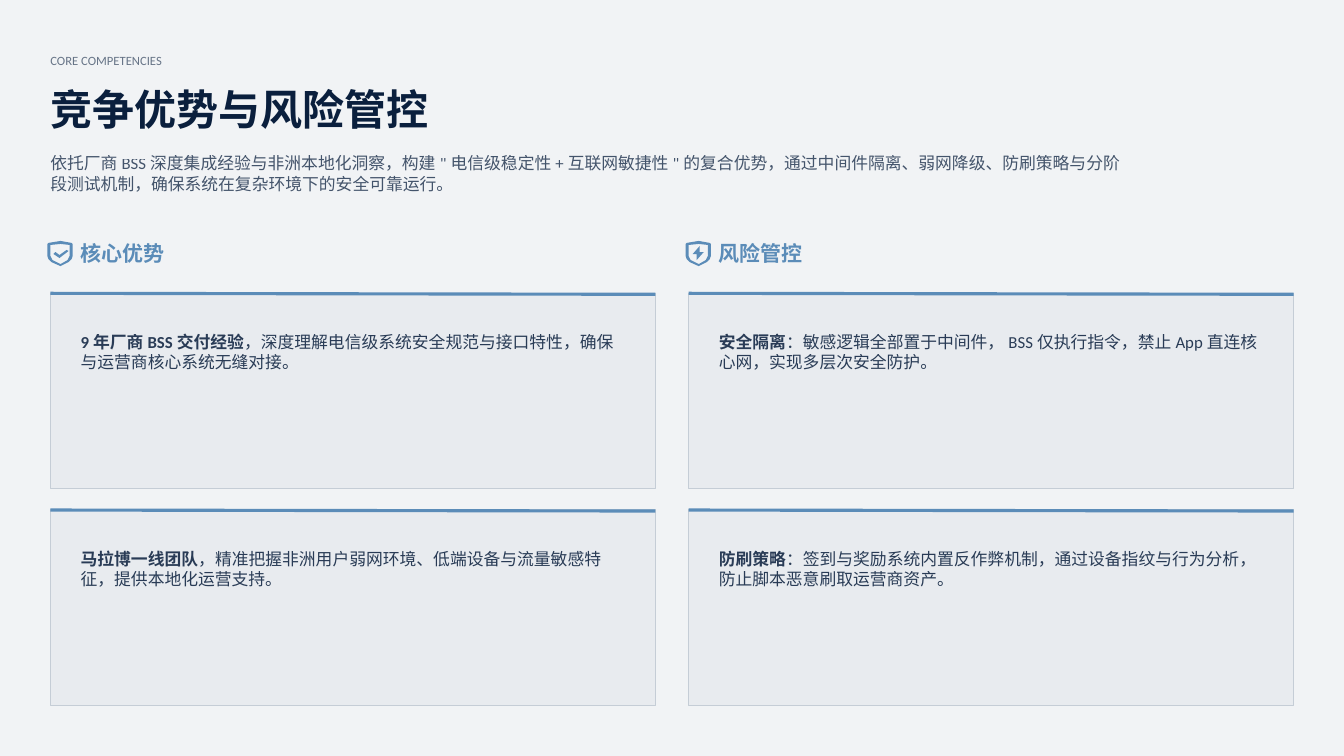
import pptx
import pptx.dml.color
import pptx.enum.shapes
import pptx.enum.text
import pptx.oxml.ns
import pptx.util
from lxml import etree

Inches, Pt = pptx.util.Inches, pptx.util.Pt
ANCHOR = pptx.enum.text.MSO_ANCHOR
COLORS = {"page": "F1F3F5", "navy": "0A1F3D", "blue": "5B8CB8",
          "card": "E8EBEF", "border": "C5CDD6"}
FONT = "Calibri"

# Icon outlines in hundredths of an inch
SHIELD = [
    [(1, 2), (13, 0), (24, 2), (25, 3), (25, 15), (24, 18), (21, 21),
     (13, 25), (4, 21), (1, 18), (0, 15), (0, 3)],
    [(22, 4), (13, 3), (3, 4), (3, 15), (4, 17), (5, 19), (13, 23),
     (20, 19), (21, 17), (22, 15)],
]
CHECK = [(12, 14), (19, 9), (21, 10), (12, 17), (6, 13), (8, 11)]
BOLT = [(14, 5), (14, 11), (18, 11), (11, 19), (11, 13), (7, 13)]

INTRO = [
    [('依托厂商BSS深度集成经验与非洲本地化洞察，构建"电信级稳定性+互联网敏捷性"'
      '的复合优势，通过中间件隔离、弱网降级、防刷策略与分阶', False)],
    [("段测试机制，确保系统在复杂环境下的安全可靠运行。", False)],
]
# Heading, icon mark, then for each card: bold lead, rest of line 1, line 2
COLUMNS = [
    ("核心优势", CHECK, [
        ("9年厂商BSS交付经验", "，深度理解电信级系统安全规范与接口特性，确保",
         "与运营商核心系统无缝对接。"),
        ("马拉博一线团队", "，精准把握非洲用户弱网环境、低端设备与流量敏感特",
         "征，提供本地化运营支持。"),
    ]),
    ("风险管控", BOLT, [
        ("安全隔离", "：敏感逻辑全部置于中间件，BSS仅执行指令，禁止App直连核",
         "心网，实现多层次安全防护。"),
        ("防刷策略", "：签到与奖励系统内置反作弊机制，通过设备指纹与行为分析，",
         "防止脚本恶意刷取运营商资产。"),
    ]),
]


def rgb(name):
    return pptx.dml.color.RGBColor.from_string(COLORS[name])


def write(sp, paragraphs, size, color="navy", alpha=100, wrap=False,
          anchor=ANCHOR.TOP):
    """Fill a shape with paragraphs, each a list of (text, bold) runs."""
    tf = sp.text_frame
    tf.margin_left = tf.margin_right = tf.margin_top = tf.margin_bottom = 0
    tf.auto_size = pptx.enum.text.MSO_AUTO_SIZE.NONE
    tf.word_wrap = wrap
    tf.vertical_anchor = anchor
    for i, runs in enumerate(paragraphs):
        p = tf.add_paragraph() if i else tf.paragraphs[0]
        p.alignment = pptx.enum.text.PP_ALIGN.LEFT
        p.font.name, p.font.size = FONT, Pt(size)
        p.font.color.rgb = rgb(color)
        if alpha < 100:
            for clr in p.font._element.iter(pptx.oxml.ns.qn("a:srgbClr")):
                etree.SubElement(clr, pptx.oxml.ns.qn("a:alpha"),
                                 val=str(alpha * 1000))
        for text, bold in runs:
            r = p.add_run()
            r.text, r.font.bold = text, bold


def add_text(slide, x, y, w, h, paragraphs, size, **style):
    sp = slide.shapes.add_textbox(Inches(x), Inches(y), Inches(w), Inches(h))
    write(sp, paragraphs, size, **style)


def add_header(slide, x, y, w):
    add_text(slide, x, y, w, 0.15, [[("CORE COMPETENCIES", False)]], 9,
             alpha=60)
    title = slide.shapes.title
    title.left, title.top = Inches(x), Inches(y + 0.31)
    title.width, title.height = Inches(w), Inches(0.46)
    write(title, [[("竞争优势与风险管控", True)]], 30)
    add_text(slide, x, y + 1, w, 0.5, INTRO, 12, alpha=75, wrap=True)


def add_icon(slide, x, y, mark):
    """Draw a hollow shield with a solid mark inside."""
    outer, *inner = SHIELD + [mark]
    builder = slide.shapes.build_freeform(*outer[0], scale=Inches(0.01))
    builder.add_line_segments(outer[1:], close=True)
    for contour in inner:
        builder.move_to(*contour[0])
        builder.add_line_segments(contour[1:], close=True)
    sp = builder.convert_to_shape(Inches(x), Inches(y))
    sp.shadow.inherit = False
    sp.fill.solid()
    sp.fill.fore_color.rgb = rgb("blue")
    sp.line.fill.background()


def add_card(slide, x, y, w, h, lead, rest, second_line):
    sp = slide.shapes.add_shape(pptx.enum.shapes.MSO_SHAPE.RECTANGLE,
                                Inches(x), Inches(y), Inches(w), Inches(h))
    sp.shadow.inherit = False
    sp.fill.solid()
    sp.fill.fore_color.rgb = rgb("card")
    sp.line.color.rgb, sp.line.width = rgb("border"), Pt(0.75)
    accent = slide.shapes.add_connector(
        pptx.enum.shapes.MSO_CONNECTOR.STRAIGHT,
        Inches(x), Inches(y), Inches(x + w), Inches(y + 0.01))
    accent.line.color.rgb, accent.line.width = rgb("blue"), Pt(2.25)
    etree.SubElement(accent._element.spPr, pptx.oxml.ns.qn("a:effectLst"))
    add_text(slide, x + 0.3, y + 0.38, w - 0.3, 0.46,
             [[(lead, True), (rest, False)], [(second_line, False)]], 12,
             alpha=85, wrap=True)


def add_column(slide, x, y, w, h, heading, mark, cards):
    add_icon(slide, x - 0.03, y, mark)
    add_text(slide, x + 0.3, y + 0.01, w - 0.3, 0.23, [[(heading, True)]], 15,
             color="blue", anchor=ANCHOR.MIDDLE)
    top, gap = 0.52, 0.21
    card_h = (h - top - gap * (len(cards) - 1)) / len(cards)
    for i, card in enumerate(cards):
        add_card(slide, x, y + top + i * (card_h + gap), w, card_h, *card)


def main():
    prs = pptx.Presentation()
    prs.slide_width, prs.slide_height = Inches(13.33), Inches(7.5)
    slide = prs.slides.add_slide(prs.slide_layouts.get_by_name("Title Only"))
    slide.background.fill.solid()
    slide.background.fill.fore_color.rgb = rgb("page")
    add_header(slide, 0.5, 0.52, 12.33)
    for i, column in enumerate(COLUMNS):
        add_column(slide, 0.5 + i * 6.33, 2.39, 6, 4.61, *column)
    prs.save("out.pptx")


if __name__ == "__main__":
    main()
